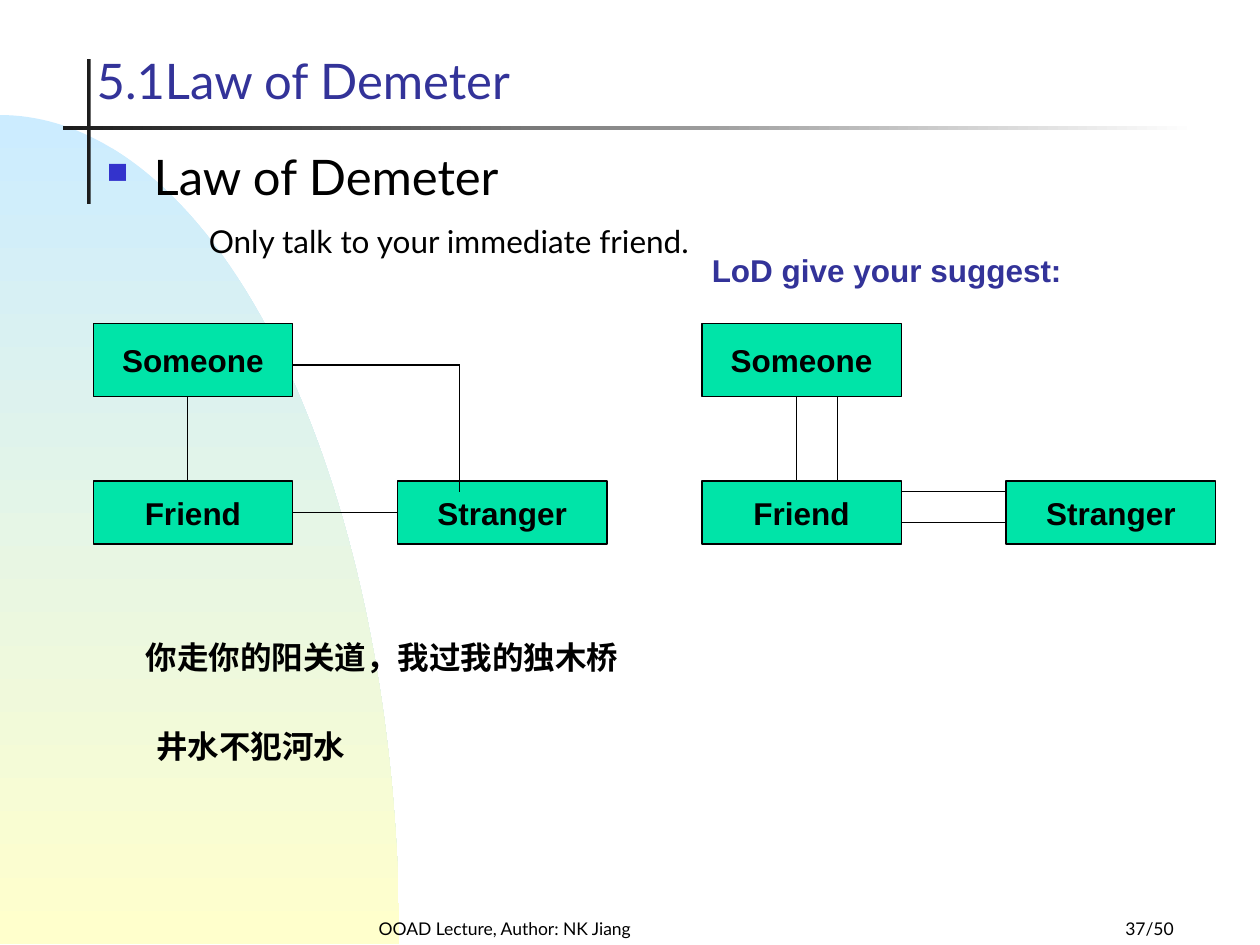
import math
from dataclasses import dataclass
from lxml import etree
from pptx import Presentation
from pptx import util as u
from pptx.dml.color import RGBColor as Rgb
from pptx.enum import shapes as sh, text as tx
from pptx.oxml.ns import qn

Cm, Pt = u.Cm, u.Pt
LEFT, MID, RIGHT = tx.PP_ALIGN.LEFT, tx.PP_ALIGN.CENTER, tx.PP_ALIGN.RIGHT


@dataclass(frozen=True)
class Theme:
    ink: str = "000000"
    title: str = "333399"
    bullet: str = "3333CC"
    node: str = "00E4A8"
    bar: str = "1C1C1C"
    paper: str = "FFFFFF"
    sky: str = "CCECFF"
    sand: str = "FFFFCC"
    head: int = 28
    gap: int = 24
    body: int = 18
    foot: int = 10
    sans: str = "Lato"
    bold: str = "Arial"


T = Theme()


def add_run(par, words, size, color=T.ink, face=T.sans, bold=False):
    run = par.add_run()
    run.text = words
    font = run.font
    font.size, font.name, font.bold = Pt(size), face, bold
    font.color.rgb = Rgb.from_string(color)


def add_box(slide, box, anchor=tx.MSO_ANCHOR.TOP, wrap=True):
    frame = slide.shapes.add_textbox(*map(Cm, box)).text_frame
    frame.word_wrap = wrap
    frame.vertical_anchor = anchor
    return frame


def add_line(slide, box, words, align, size, color=T.ink):
    """One line of text resting on the bottom of its box."""
    par = add_box(slide, box, tx.MSO_ANCHOR.BOTTOM).paragraphs[0]
    par.alignment = align
    add_run(par, words, size, color)


def add_note(slide, box, words, color=T.ink):
    """A bold remark on one line, in a box that grows with it."""
    frame = add_box(slide, box, wrap=False)
    frame.auto_size = tx.MSO_AUTO_SIZE.SHAPE_TO_FIT_TEXT
    add_run(frame.paragraphs[0], words, T.body, color, T.bold, True)


def blend(shape, start, end, angle):
    shape.shadow.inherit = False
    shape.line.fill.background()
    shape.fill.gradient()
    shape.fill.gradient_angle = angle
    for stop, color in zip(shape.fill.gradient_stops, (start, end)):
        stop.color.rgb = Rgb.from_string(color)


def add_hill(slide, box, steps=90):
    """A quarter ellipse that fills the box, centred on its lower left."""
    left, top, wide, high = box
    turns = [math.pi / 2 * i / steps for i in range(steps + 1)]
    pts = [(Cm(left + wide * math.sin(a)), Cm(top + high * (1 - math.cos(a))))
           for a in turns]
    pen = slide.shapes.build_freeform(*pts[0])
    pen.add_line_segments(pts[1:] + [(Cm(left), Cm(top + high))])
    blend(pen.convert_to_shape(), T.sky, T.sand, 270)


def add_cross(slide, box):
    """The upright bar and the fading rule behind the title."""
    left, top, wide, high = box
    thick = 0.08
    for part, end in (((left + 0.48, top, thick, high), T.bar),
                      ((left, top + 1.35, wide, thick), T.paper)):
        bar = slide.shapes.add_shape(sh.MSO_SHAPE.RECTANGLE, *map(Cm, part))
        blend(bar, T.bar, end, 0)


def indent(par, left, first):
    props = par._p.get_or_add_pPr()
    props.set("marL", str(Cm(left)))
    props.set("indent", str(Cm(first)))
    return props


def add_body(slide, box):
    frame = add_box(slide, box)
    top, sub = frame.paragraphs[0], frame.add_paragraph()
    props = indent(top, 0.95, -0.95)
    tint = etree.SubElement(props, qn("a:buClr"))
    etree.SubElement(tint, qn("a:srgbClr"), val=T.bullet)
    etree.SubElement(props, qn("a:buSzPct"), val="60000")
    etree.SubElement(props, qn("a:buChar"), char="■")
    indent(sub, 2.06, -0.79)
    sub.level = 1
    sub.space_before = Pt(6)
    top.line_spacing = sub.line_spacing = 0.9
    add_run(top, "Law of Demeter", T.head)
    add_run(sub, "\t", T.gap)
    add_run(sub, "Only talk to your immediate friend.", T.body)
    add_run(sub, " ", T.gap)


def add_node(slide, box, name):
    node = slide.shapes.add_shape(sh.MSO_SHAPE.RECTANGLE, *map(Cm, box))
    node.shadow.inherit = False
    node.fill.solid()
    node.fill.fore_color.rgb = Rgb.from_string(T.node)
    node.line.color.rgb = Rgb.from_string(T.ink)
    node.line.width = Pt(0.75)
    frame = node.text_frame
    frame.word_wrap = False
    frame.vertical_anchor = tx.MSO_ANCHOR.MIDDLE
    par = frame.paragraphs[0]
    par.alignment = MID
    add_run(par, name, T.body, T.ink, T.bold, True)


def add_link(slide, ends):
    link = slide.shapes.add_connector(sh.MSO_CONNECTOR.STRAIGHT,
                                      *map(Cm, ends))
    link.line.color.rgb = Rgb.from_string(T.ink)
    link.line.width = Pt(0.75)
    etree.SubElement(link._element.spPr, qn("a:effectLst"))


# Node sizes and places inside a graph, in centimetres
WIDE, TALL, LOW = 4.02, 1.47, 1.27
ROW, COL, FAR = 3.18, 6.13, 4.23


def drop(x):
    return x, TALL, x, ROW


def across(y):
    return WIDE, y, COL, y


def add_graph(slide, left, top, links):
    for x, y, wide, high, name in ((0, 0, WIDE, TALL, "Someone"),
                                   (COL, ROW, FAR, LOW, "Stranger"),
                                   (0, ROW, WIDE, LOW, "Friend")):
        add_node(slide, (left + x, top + y, wide, high), name)
    for x1, y1, x2, y2 in links:
        add_link(slide, (left + x1, top + y1, left + x2, top + y2))


def main():
    deck = Presentation()
    deck.slide_width, deck.slide_height = Cm(25.4), Cm(19.05)
    slide = deck.slides.add_slide(deck.slide_layouts[6])

    add_hill(slide, (0, 2.32, 8.05, 16.71))
    add_cross(slide, (1.27, 1.19, 22.86, 2.92))
    add_line(slide, (6.15, 18.2, 8.05, 0.85),
             "OOAD Lecture, Author: NK Jiang", MID, T.foot)
    add_line(slide, (18.63, 18.2, 5.28, 0.85), "37/50", RIGHT, T.foot)
    add_line(slide, (1.7, 0.43, 17.98, 1.9),
             "5.1Law of Demeter", LEFT, T.head, T.title)
    add_body(slide, (1.9, 2.97, 22.43, 3.53))

    bend, high, low = 7.39, 0.84, 3.39
    add_graph(slide, 1.88, 6.52,
              [drop(1.9), across(ROW + LOW / 2),
               (WIDE, high, bend, high), (bend, high, bend, low)])
    add_graph(slide, 14.15, 6.52,
              [drop(1.9), drop(2.74), across(low), across(4.02)])

    add_note(slide, (14.1, 4.93, 7.57, 1.02),
             "LoD give your suggest:", T.title)
    add_note(slide, (2.69, 12.73, 10.03, 1.02),
             "你走你的阳关道，我过我的独木桥")
    add_note(slide, (2.9, 14.53, 4.32, 1.02), "井水不犯河水")
    deck.save("out.pptx")


if __name__ == "__main__":
    main()
